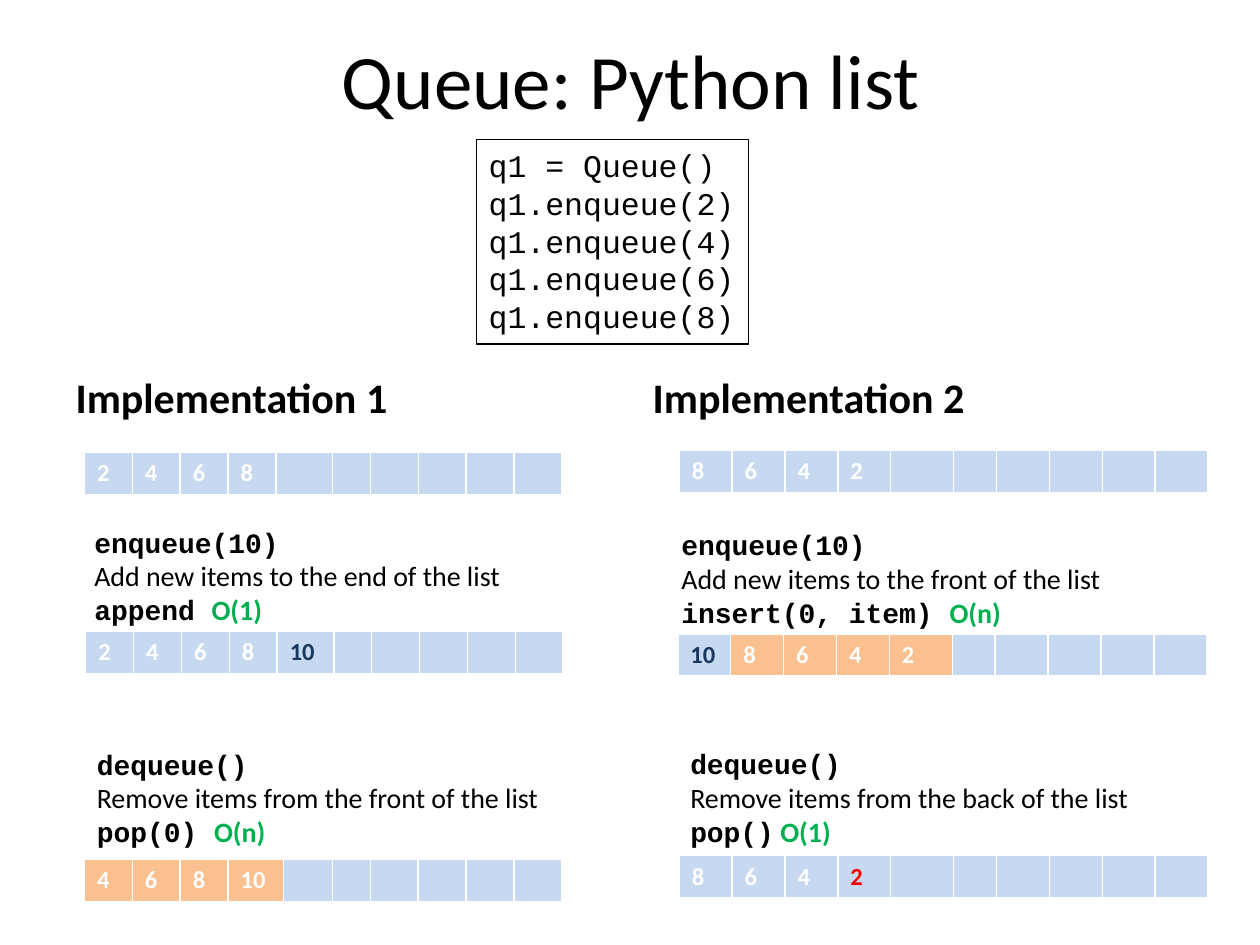
from lxml.etree import SubElement
from pptx import Presentation
from pptx.dml.color import RGBColor
from pptx.enum.shapes import MSO_SHAPE
from pptx.enum.text import MSO_ANCHOR, PP_ALIGN
from pptx.oxml.ns import qn
from pptx.util import Emu, Pt

COLORS = {
    "black": "000000",
    "white": "FFFFFF",
    "cell": "C6D9F1",
    "moved": "FAC090",
    "added": "17375E",
    "removed": "FF0000",
    "cost": "00B050",
}
PX = 9144
CELLS = 10


class Deck:
    sans = "Calibri"
    mono = "Courier New"

    def __init__(self, prs, layout):
        self.s = prs.slides.add_slide(prs.slide_layouts[layout])

    def box(self, *lengths):
        return [Emu(n * PX) for n in lengths]

    def run(self, p, text, color="black", **fmt):
        r = p.add_run()
        r.text = text
        for key, value in fmt.items():
            setattr(r.font, key, value)
        r.font.color.rgb = RGBColor.from_string(COLORS[color])

    def frame(self, sp, **fmt):
        for key, value in fmt.items():
            setattr(sp.text_frame, key, value)
        return sp.text_frame

    def placeholder(self, idx, text, box, anchor, **fmt):
        sp = self.s.placeholders[idx]
        sp.left, sp.top, sp.width, sp.height = self.box(*box)
        tf = self.frame(sp, vertical_anchor=anchor)
        self.run(tf.paragraphs[0], text, name=self.sans, **fmt)

    def drop_empty(self):
        for sp in list(self.s.placeholders):
            if not sp.text_frame.text:
                sp.element.getparent().remove(sp.element)

    def code(self, lines, box):
        sp = self.s.shapes.add_shape(MSO_SHAPE.RECTANGLE, *self.box(*box))
        sp.shadow.inherit = False
        sp.fill.background()
        sp.line.color.rgb = RGBColor.from_string(COLORS["black"])
        sp.line.width = Pt(0.75)
        tf = self.frame(sp, word_wrap=False, vertical_anchor=MSO_ANCHOR.TOP)
        for i, line in enumerate(lines):
            p = tf.add_paragraph() if i else tf.paragraphs[0]
            p.alignment = PP_ALIGN.LEFT
            self.run(p, line, name=self.mono, size=Pt(18))

    def operation(self, call, description, method, cost, box):
        sp = self.s.shapes.add_textbox(*self.box(*box))
        tf = self.frame(sp, word_wrap=True)
        fmt = {"size": Pt(16), "bold": True}
        self.run(tf.paragraphs[0], call, name=self.mono, **fmt)
        p = tf.add_paragraph()
        self.run(p, description + " ", name=self.sans, size=Pt(16))
        self.run(p, method, name=self.mono, **fmt)
        self.run(p, cost, "cost", name=self.sans, **fmt)

    def queue(self, items, left, top, width, widths, moved=(), marked=None):
        shape = self.s.shapes.add_table(1, CELLS, *self.box(left, top, sum(widths.get(i, width) for i in range(CELLS)), 33))
        table = shape.table
        for i, cell in enumerate(table.iter_cells()):
            table.columns[i].width = Emu(widths.get(i, width) * PX)
            cell.fill.solid()
            fill = COLORS["moved" if i in moved else "cell"]
            cell.fill.fore_color.rgb = RGBColor.from_string(fill)
            p = cell.text_frame.paragraphs[0]
            if i < len(items):
                color = (marked or {}).get(i, "white")
                self.run(p, str(items[i]), color, name=self.sans, size=Pt(14), bold=True)
            else:
                SubElement(p._p, qn("a:endParaRPr"), sz="1400")


def main():
    prs = Presentation()
    prs.slide_width, prs.slide_height = Emu(1000 * PX), Emu(750 * PX)
    deck = Deck(prs, 4)

    deck.placeholder(0, "Queue: Python list", (51, 0, 900, 125), MSO_ANCHOR.MIDDLE, size=Pt(44))
    for idx, left, number in ((1, 50, 1), (3, 508, 2)):
        deck.placeholder(idx, f"Implementation {number}", (left, 270, 442, 70),
                         MSO_ANCHOR.BOTTOM, size=Pt(24), bold=True)
    deck.drop_empty()

    calls = [f"q1.enqueue({n})" for n in (2, 4, 6, 8)]
    deck.code(["q1 = Queue()", *calls], (378, 111, 216, 162))

    narrow, wide = {4: 45, 5: 30}, {4: 50, 5: 34}
    deck.queue([2, 4, 6, 8], 67, 359, 38, narrow)
    deck.queue([2, 4, 6, 8, 10], 68, 501, 38, narrow, marked={4: "added"})
    deck.queue([4, 6, 8, 10], 67, 682, 38, {3: 44, 4: 39, 5: 30}, moved=range(4))
    deck.queue([8, 6, 4, 2], 539, 357, 42, wide)
    deck.queue([10, 8, 6, 4, 2], 538, 503, 42, wide, moved=range(1, 5), marked={0: "added"})
    deck.queue([8, 6, 4, 2], 539, 679, 42, wide, marked={3: "removed"})

    deck.operation("enqueue(10)", "Add new items to the end of the list",
                   "append ", "O(1)", (65, 412, 389, 91))
    deck.operation("enqueue(10)", "Add new items to the front of the list",
                   "insert(0, item) ", "O(n)", (531, 414, 417, 91))
    deck.operation("dequeue()", "Remove items from the front of the list",
                   "pop(0) ", "O(n)", (67, 588, 391, 91))
    deck.operation("dequeue()", "Remove items from the back of the list",
                   "pop()", " O(1)", (538, 588, 411, 114))

    prs.save("out.pptx")


if __name__ == "__main__":
    main()
